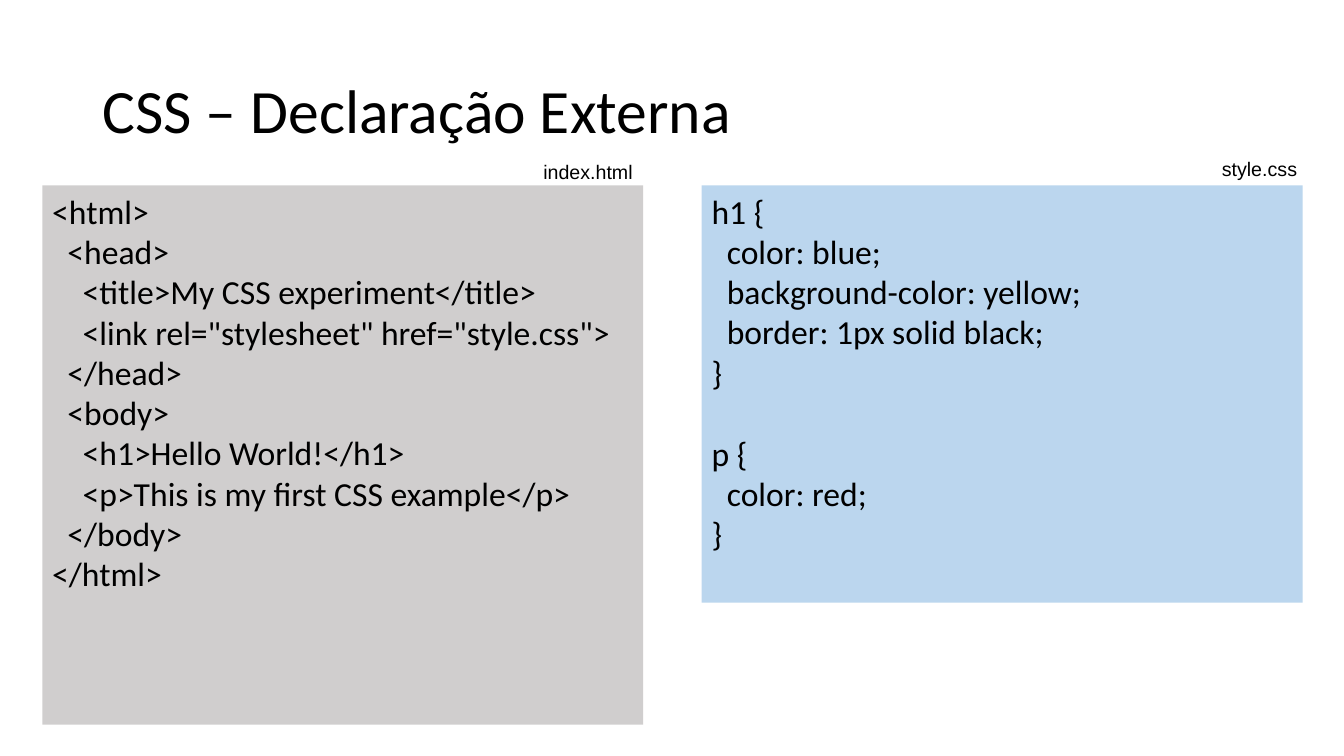
from dataclasses import dataclass

from pptx import Presentation
from pptx import util as u
from pptx.dml.color import RGBColor
from pptx.enum import shapes, text
from pptx.slide import Slide
from pptx.text.text import TextFrame

BLACK = RGBColor(0x00, 0x00, 0x00)
GRAY = RGBColor(0xD0, 0xCE, 0xCE)
LIGHT_BLUE = RGBColor(0xBB, 0xD6, 0xEE)

PANEL_TOP = 1.84
PANEL_WIDTH = 5.96
CODE_LINE_HEIGHT = 29

HTML_CODE = """<html>
  <head>
    <title>My CSS experiment</title>
    <link rel="stylesheet" href="style.css">
  </head>
  <body>
    <h1>Hello World!</h1>
    <p>This is my first CSS example</p>
  </body>
</html>"""

CSS_CODE = """h1 {
  color: blue;
  background-color: yellow;
  border: 1px solid black;
}

p {
  color: red;
}"""


@dataclass(frozen=True)
class Label:
    wording: str
    left: float
    top: float
    width: float
    height: float
    size: int
    font: str
    anchor: text.MSO_ANCHOR = text.MSO_ANCHOR.TOP
    line_spacing: float = 1.0


@dataclass(frozen=True)
class CodePanel:
    code: str
    left: float
    height: float
    fill: RGBColor


LABELS = [
    Label("CSS – Declaração Externa", 0.92, 0.4, 11.5, 1.45, 44, "Calibri",
          text.MSO_ANCHOR.MIDDLE, 0.9),
    Label("style.css", 12.02, 1.51, 1.1, 0.34, 14, "Arial"),
    Label("index.html", 5.29, 1.54, 1.1, 0.34, 14, "Arial"),
]

CODE_PANELS = [
    CodePanel(HTML_CODE, 0.42, 5.35, GRAY),
    CodePanel(CSS_CODE, 6.96, 4.14, LIGHT_BLUE),
]


def format_frame(frame: TextFrame, size: int, font: str, anchor: text.MSO_ANCHOR) -> None:
    frame.word_wrap = True
    frame.vertical_anchor = anchor
    for paragraph in frame.paragraphs:
        paragraph.alignment = text.PP_ALIGN.LEFT
        for run in paragraph.runs:
            run.font.size = u.Pt(size)
            run.font.name = font
            run.font.color.rgb = BLACK


def draw_label(slide: Slide, label: Label) -> None:
    box = slide.shapes.add_textbox(
        u.Inches(label.left), u.Inches(label.top),
        u.Inches(label.width), u.Inches(label.height))
    box.text_frame.text = label.wording
    box.text_frame.paragraphs[0].line_spacing = label.line_spacing
    format_frame(box.text_frame, label.size, label.font, label.anchor)


def draw_code_panel(slide: Slide, panel: CodePanel) -> None:
    background = slide.shapes.add_shape(
        shapes.MSO_SHAPE.RECTANGLE, u.Inches(panel.left), u.Inches(PANEL_TOP),
        u.Inches(PANEL_WIDTH), u.Inches(panel.height))
    background.shadow.inherit = False
    background.fill.solid()
    background.fill.fore_color.rgb = panel.fill
    background.line.fill.background()

    frame = background.text_frame
    blocks = panel.code.split("\n\n")
    frame.text = "\n".join(blocks)
    block_start = 0
    for block in blocks[:-1]:
        block_start += len(block.splitlines())
        frame.paragraphs[block_start].space_before = u.Pt(CODE_LINE_HEIGHT)
    format_frame(frame, 24, "Calibri", text.MSO_ANCHOR.TOP)


def main() -> None:
    deck = Presentation()
    deck.slide_width = u.Inches(13.33)
    deck.slide_height = u.Inches(7.5)
    slide = deck.slides.add_slide(deck.slide_layouts[6])
    for panel in CODE_PANELS:
        draw_code_panel(slide, panel)
    for label in LABELS:
        draw_label(slide, label)
    deck.save("out.pptx")


if __name__ == "__main__":
    main()
